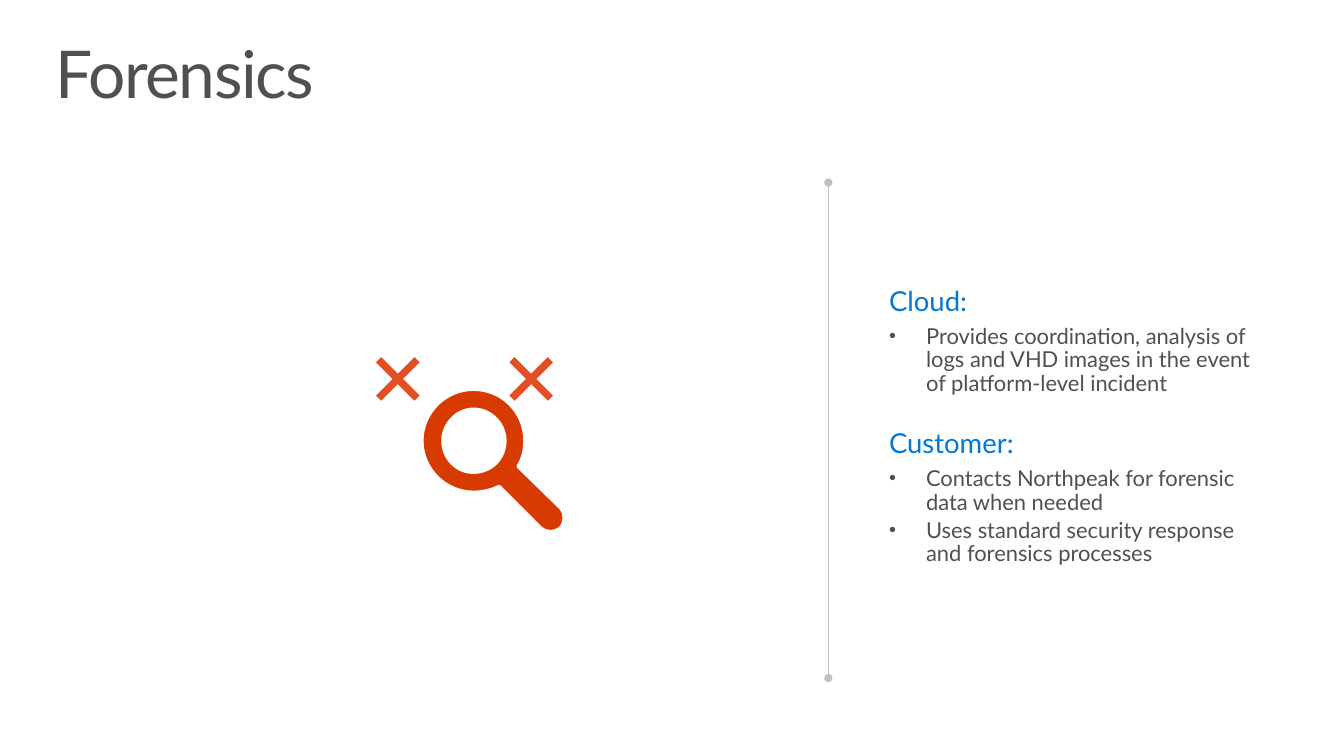
from lxml.etree import SubElement
from pptx import Presentation
from pptx.dml.color import RGBColor
from pptx.enum.shapes import MSO_CONNECTOR, MSO_SHAPE
from pptx.enum.text import MSO_ANCHOR
from pptx.oxml.ns import qn
from pptx.util import Pt

FONT = "Lato"
COLORS = {
    "text": "505050",
    "heading": "0078D7",
    "divider": "BFBFBF",
    "cross": "E34F24",
    "magnifier": "D83B01",
    "white": "FFFFFF",
}
DUTIES = [
    ("Cloud:", [
        "Provides coordination, analysis of logs and VHD images in the event of platform-level incident",
    ]),
    ("Customer:", [
        "Contacts Northpeak for forensic data when needed",
        "Uses standard security response and forensics processes",
    ]),
]
MAGNIFIER_GRID = 145
MAGNIFIER_OUTLINE = [
    (52, 0),
    (81, 0), (104, 23), (104, 52),
    (104, 61), (102, 70), (97, 78),
    (140, 120), (140, 120), (140, 120),
    (145, 126), (145, 134), (140, 140),
    (134, 145), (125, 145), (120, 140),
    (78, 98), (78, 98), (78, 98),
    (70, 102), (61, 104), (52, 104),
    (24, 104), (0, 81), (0, 52),
    (0, 23), (24, 0), (52, 0),
]
MAGNIFIER_OPENING = [
    (52, 84),
    (70, 84), (84, 70), (84, 52),
    (84, 35), (70, 20), (52, 20),
    (35, 20), (21, 35), (21, 52),
    (21, 70), (35, 84), (52, 84),
]


def color(name):
    """Return the named colour."""
    return RGBColor.from_string(COLORS[name])


def add_text_box(slide, box, inset_x, inset_y):
    """Add a wrapping, top-anchored text box and return its frame."""
    frame = slide.shapes.add_textbox(*map(Pt, box)).text_frame
    frame.word_wrap = True
    frame.vertical_anchor = MSO_ANCHOR.TOP
    frame.margin_left = frame.margin_right = Pt(inset_x)
    frame.margin_top = frame.margin_bottom = Pt(inset_y)
    return frame


def add_run(paragraph, text, size, color_name):
    """Add a styled run to a paragraph."""
    run = paragraph.add_run()
    run.text = text
    run.font.name = FONT
    run.font.size = Pt(size)
    run.font.color.rgb = color(color_name)
    return run


def add_bullet(paragraph, indent):
    """Give a paragraph a hanging bullet."""
    properties = paragraph._p.get_or_add_pPr()
    properties.set("marL", str(Pt(indent)))
    properties.set("indent", str(-Pt(indent)))
    SubElement(properties, qn("a:buSzPct")).set("val", "90000")
    SubElement(properties, qn("a:buFont")).set("typeface", "Arial")
    SubElement(properties, qn("a:buChar")).set("char", "•")


def style_shape(shape, fill_name):
    """Fill a shape plainly, without line or shadow."""
    shape.shadow.inherit = False
    shape.fill.solid()
    shape.fill.fore_color.rgb = color(fill_name)
    shape.line.fill.background()


def add_title(slide, box):
    """Add the slide title."""
    paragraph = add_text_box(slide, box, 11.5, 7.2).paragraphs[0]
    paragraph.line_spacing = 0.9
    run = add_run(paragraph, "Forensics", 48, "text")
    run.font._element.set("spc", "-100")


def add_divider(slide, x, top, bottom):
    """Add the vertical line with a dot at each end."""
    divider = slide.shapes.add_connector(
        MSO_CONNECTOR.STRAIGHT, Pt(x), Pt(bottom), Pt(x), Pt(top))
    divider.line.color.rgb = color("divider")
    divider.line.width = Pt(0.75)
    line = divider.line._get_or_add_ln()
    for end in ("a:headEnd", "a:tailEnd"):
        SubElement(line, qn(end)).set("type", "oval")
    SubElement(divider._element.spPr, qn("a:effectLst"))


def add_duties(slide, box):
    """Add the headed bullet lists of duties."""
    frame = add_text_box(slide, box, 5.76, 2.88)
    for number, (heading, duties) in enumerate(DUTIES):
        paragraph = frame.add_paragraph() if number else frame.paragraphs[0]
        if number:
            paragraph.space_before = Pt(21.5)
        paragraph.space_after = Pt(3.1)
        add_run(paragraph, heading, 20, "heading")
        for duty in duties:
            paragraph = frame.add_paragraph()
            add_bullet(paragraph, 27)
            paragraph.line_spacing = 0.9
            paragraph.space_before = Pt(3.2)
            add_run(paragraph, duty, 16, "text")


def add_crosses(slide, box, gap):
    """Add two diagonal crosses, the first one in the box."""
    left, top, width, height = box
    for number in range(2):
        cross = slide.shapes.add_shape(
            MSO_SHAPE.CROSS, Pt(left + number * gap), Pt(top), Pt(width), Pt(height))
        cross.adjustments[0] = 0.433
        cross.rotation = 45
        style_shape(cross, "cross")


def curve_segments(freeform):
    """Merge each three straight segments of a freeform into one curve."""
    for outline in freeform._element.iter(qn("a:path")):
        segments = outline.findall(qn("a:lnTo"))
        for first in range(0, len(segments), 3):
            curve = outline.makeelement(qn("a:cubicBezTo"))
            segments[first].addprevious(curve)
            for segment in segments[first:first + 3]:
                curve.append(segment[0])
                outline.remove(segment)


def add_magnifier(slide, box):
    """Add the magnifying glass that fills the square box."""
    left, top, size, _ = box
    unit = size / MAGNIFIER_GRID

    def place(points):
        """Move grid points into the box."""
        return [(Pt(left + x * unit), Pt(top + y * unit)) for x, y in points]

    group = slide.shapes.add_group_shape()
    lens = group.shapes.add_shape(
        MSO_SHAPE.OVAL, *place([(16, 15)])[0], Pt(74 * unit), Pt(74 * unit))
    style_shape(lens, "white")
    outline, opening = place(MAGNIFIER_OUTLINE), place(MAGNIFIER_OPENING)
    builder = group.shapes.build_freeform(*outline[0])
    builder.add_line_segments(outline[1:], close=True)
    builder.move_to(*opening[0])
    builder.add_line_segments(opening[1:], close=True)
    magnifier = builder.convert_to_shape()
    curve_segments(magnifier)
    style_shape(magnifier, "magnifier")
    magnifier.line.color.rgb = color("white")
    magnifier.line.width = Pt(2.25)


def main():
    """Build and save the slide."""
    presentation = Presentation()
    presentation.slide_width = Pt(979.2)
    presentation.slide_height = Pt(550.8)
    slide = presentation.slides.add_slide(presentation.slide_layouts[6])
    add_divider(slide, 603.5, 133, 494)
    add_duties(slide, (642, 203.8, 285.1, 217.4))
    add_crosses(slide, (270, 256.3, 39.6, 39.6), 97.2)
    add_magnifier(slide, (307.5, 283.7, 104.4, 104.4))
    add_title(slide, (28.8, 23, 921.6, 72))
    presentation.save("out.pptx")


if __name__ == "__main__":
    main()
